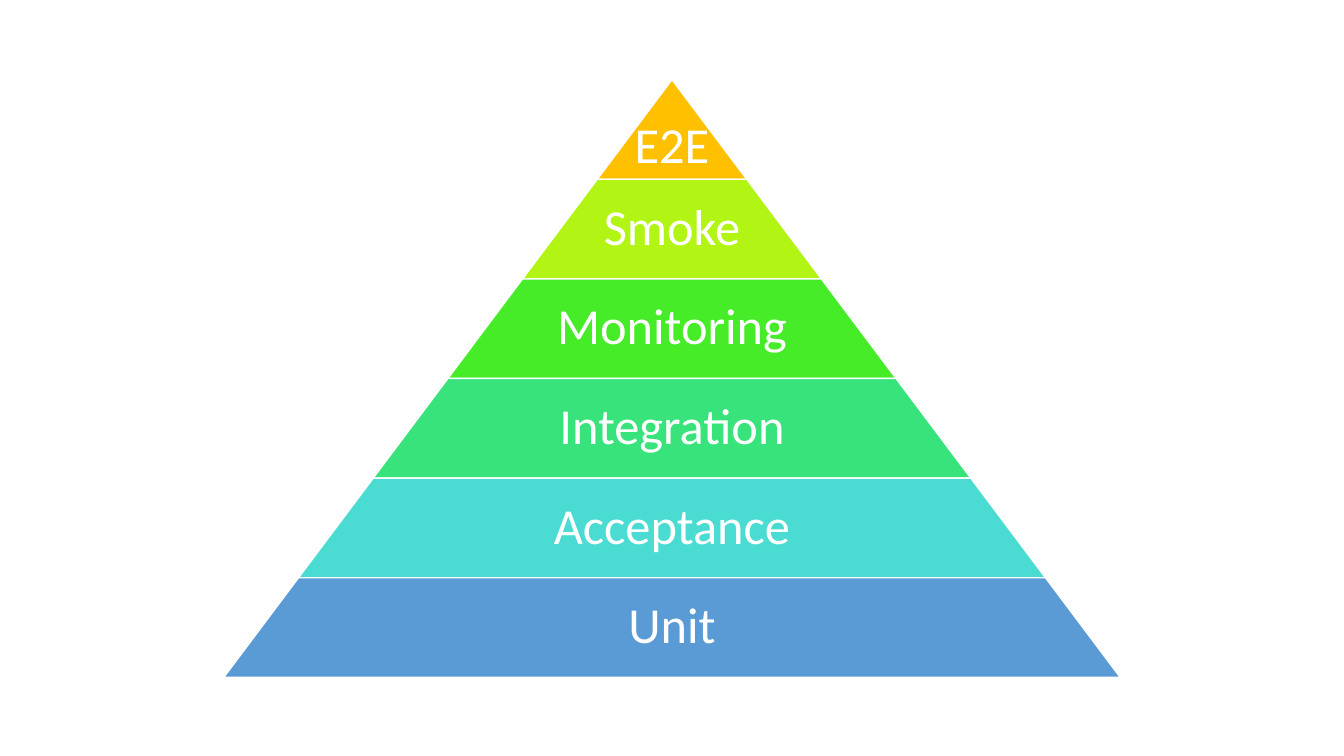
from pptx import Presentation
from pptx.dml.color import RGBColor
from pptx.enum.shapes import MSO_SHAPE
from pptx.enum.text import MSO_ANCHOR, PP_ALIGN
from pptx.util import Inches, Pt

TRAPEZOID = MSO_SHAPE.TRAPEZOID
BOTTOM, MIDDLE = MSO_ANCHOR.BOTTOM, MSO_ANCHOR.MIDDLE
CENTER = PP_ALIGN.CENTER


def color(code):
    return RGBColor.from_string(code)


# Blank slide
deck = Presentation()
deck.slide_width, deck.slide_height = Inches(13.33), Inches(7.5)
slide = deck.slides.add_slide(deck.slide_layouts[6])

# Test levels from the tip to the base
levels = [
    ("E2E", "FFC000"),
    ("Smoke", "B2F514"),
    ("Monitoring", "46EC27"),
    ("Integration", "39E37B"),
    ("Acceptance", "4ADCD2"),
    ("Unit", "5B9BD5"),
]
middle, top = 13.33 / 2, 0.79
base, height = 8.89, 5.93
step = height / len(levels)
slope = base / 2 / height

# Pyramid: each level widens by the same amount
pyramid = slide.shapes.add_group_shape().shapes
for i, (name, fill) in enumerate(levels):
    width = base * (i + 1) / len(levels)
    y = top + i * step

    tier = pyramid.add_shape(TRAPEZOID, Inches(middle - width / 2), Inches(y),
                             Inches(width), Inches(step))
    tier.adjustments[0] = slope
    tier.shadow.inherit = False
    tier.fill.solid()
    tier.fill.fore_color.rgb = color(fill)
    tier.line.color.rgb = color("FFFFFF")
    tier.line.width = Pt(1)

    # Labels are narrower than their level, except at the tip
    span = width * 0.65 if i else width
    label = pyramid.add_textbox(Inches(middle - span / 2), Inches(y),
                                Inches(span), Inches(step))
    frame = label.text_frame
    frame.word_wrap = True
    frame.vertical_anchor = MIDDLE if i else BOTTOM
    frame.margin_left = frame.margin_right = Inches(0.05)
    frame.margin_top = frame.margin_bottom = Inches(0.05)
    text = frame.paragraphs[0]
    text.text = name
    text.alignment = CENTER
    text.line_spacing = 0.9
    text.font.name = "Calibri"
    text.font.size = Pt(36)
    text.font.color.rgb = color("FFFFFF")

deck.save("out.pptx")
